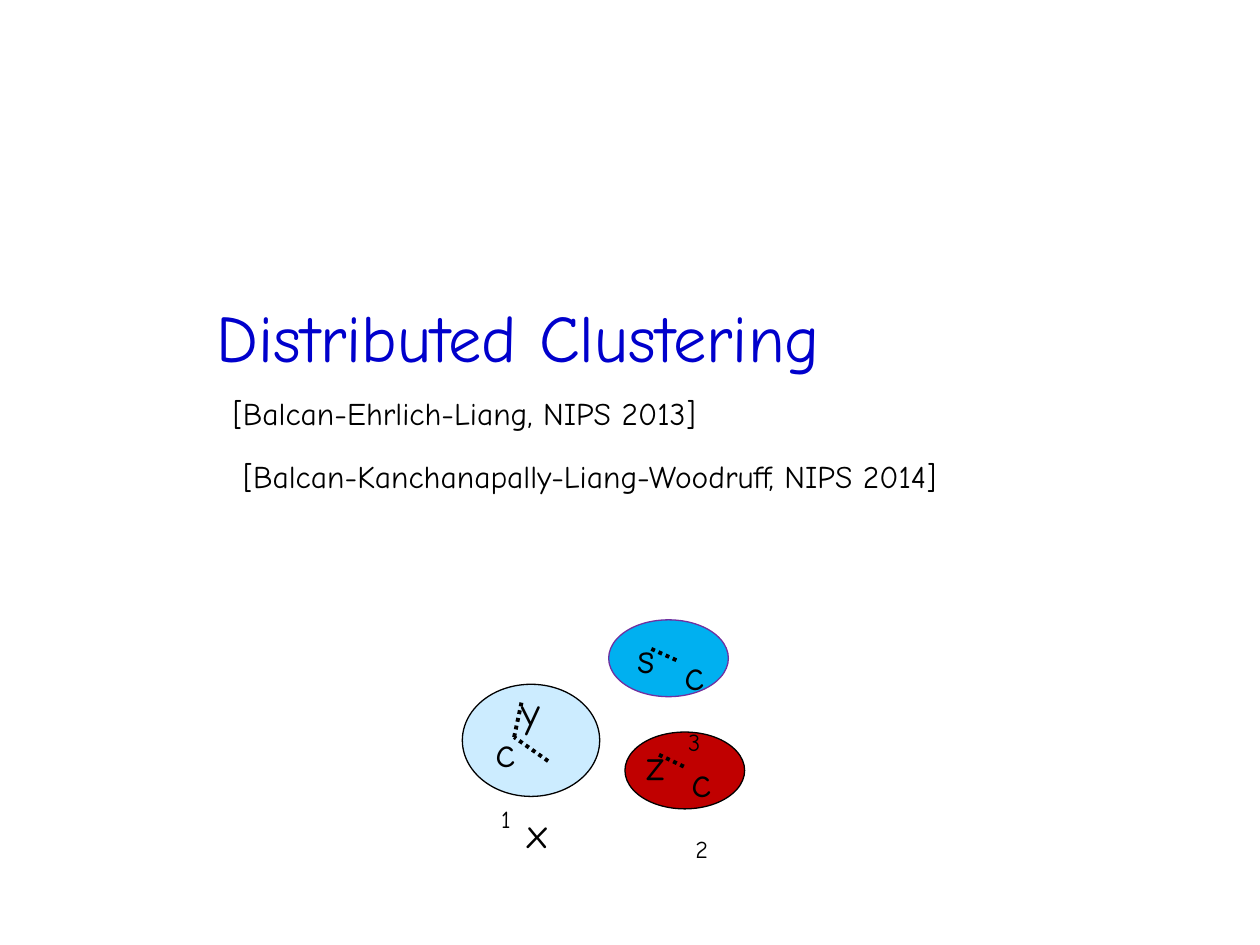
from lxml.etree import SubElement
from pptx import Presentation
from pptx.dml.color import RGBColor
from pptx.enum.dml import MSO_LINE
from pptx.enum.shapes import MSO_CONNECTOR, MSO_SHAPE
from pptx.enum.text import MSO_ANCHOR, MSO_AUTO_SIZE, PP_ALIGN
from pptx.oxml.ns import qn
from pptx.util import Pt

BLACK = RGBColor(0x00, 0x00, 0x00)
BLUE = RGBColor(0x00, 0x00, 0xCC)
RED = RGBColor(0xC0, 0x00, 0x00)
PALE = RGBColor(0xCC, 0xEC, 0xFF)
SKY = RGBColor(0x00, 0xB0, 0xF0)
PURPLE = RGBColor(0x70, 0x30, 0xA0)

OVAL = MSO_SHAPE.OVAL
STRAIGHT = MSO_CONNECTOR.STRAIGHT
DOTS = MSO_LINE.ROUND_DOT
LEFT, CENTER = PP_ALIGN.LEFT, PP_ALIGN.CENTER
TOP, MIDDLE = MSO_ANCHOR.TOP, MSO_ANCHOR.MIDDLE
GROW = MSO_AUTO_SIZE.SHAPE_TO_FIT_TEXT

TITLE = {"name": "Comic Neue", "size": Pt(38)}
CITE = {"name": "Comic Neue", "size": Pt(18)}
LABEL = {"name": "Comic Neue", "size": Pt(24)}

CITES = [
    ("[Balcan-Ehrlich-Liang, NIPS 2013]", 126, 221.8, 302.4),
    ("[Balcan-Kanchanapally-Liang-Woodruff, NIPS 2014]", 131.8, 257.8, 450),
]
# left, top, width, height, fill, outline
GROUPS = [
    (357.1, 418.3, 68.4, 43.9, RED, BLACK),
    (264.2, 391, 78.5, 64.1, PALE, BLACK),
    (347.8, 354.2, 68.4, 43.9, SKY, PURPLE),
]
HUB = (293.8, 421.2)
LINKS = [
    ((313.2, 434.9), HUB),
    (HUB, (298.1, 401)),
    ((376.6, 431.3), (391.7, 438.5)),
    ((372.2, 370.8), (386.6, 377.3)),
]
# text, subscript, left, top, width
LABELS = [
    ("z", "", 362.2, 418.3, 22.3),
    ("x", "", 294.1, 457.2, 22.3),
    ("y", "", 290.9, 388.1, 22.3),
    ("s", "", 357.1, 357.1, 21.6),
    ("c", "1", 275, 411.1, 28.1),
    ("c", "2", 385.9, 428.4, 30.2),
    ("c", "3", 381.6, 367.2, 30.2),
]


def style(font, form, color):
    for key, value in form.items():
        setattr(font, key, value)
    font.color.rgb = color


def add_text(slide, text, box, form, color=BLACK, align=LEFT, anchor=TOP):
    """Add a one-line text box and return its text frame."""
    frame = slide.shapes.add_textbox(*map(Pt, box)).text_frame
    frame.word_wrap = True
    frame.vertical_anchor = anchor
    line = frame.paragraphs[0]
    line.alignment = align
    run = line.add_run()
    run.text = text
    style(run.font, form, color)
    return frame


def add_label(slide, text, sub, left, top, width):
    """Add a point name; a subscript drops below it in the narrow box."""
    frame = add_text(slide, text, (left, top, width, 20.2), LABEL, align=CENTER)
    frame.auto_size = GROW
    if sub:
        run = frame.paragraphs[0].add_run()
        run.text = sub
        style(run.font, LABEL, BLACK)
        run._r.get_or_add_rPr().set("baseline", "-25000")


def add_oval(slide, box, fill, edge):
    oval = slide.shapes.add_shape(OVAL, *map(Pt, box))
    oval.shadow.inherit = False
    oval.fill.solid()
    oval.fill.fore_color.rgb = fill
    oval.line.color.rgb = edge
    oval.line.width = Pt(0.75)


def add_link(slide, start, end):
    link = slide.shapes.add_connector(STRAIGHT, *map(Pt, start + end))
    link.line.color.rgb = BLACK
    link.line.width = Pt(2.25)
    link.line.dash_style = DOTS
    SubElement(link._element.spPr, qn("a:effectLst"))


def main():
    deck = Presentation()
    deck.slide_width, deck.slide_height = Pt(720), Pt(540)
    slide = deck.slides.add_slide(deck.slide_layouts[6])
    add_text(slide, "Distributed Clustering", (116.6, 66.2, 519.8, 252),
             TITLE, BLUE, anchor=MIDDLE)
    for text, left, top, width in CITES:
        add_text(slide, text, (left, top, width, 33.5), CITE)
    for *box, fill, edge in GROUPS:
        add_oval(slide, box, fill, edge)
    for start, end in LINKS:
        add_link(slide, start, end)
    for label in LABELS:
        add_label(slide, *label)
    deck.save("out.pptx")


if __name__ == "__main__":
    main()
